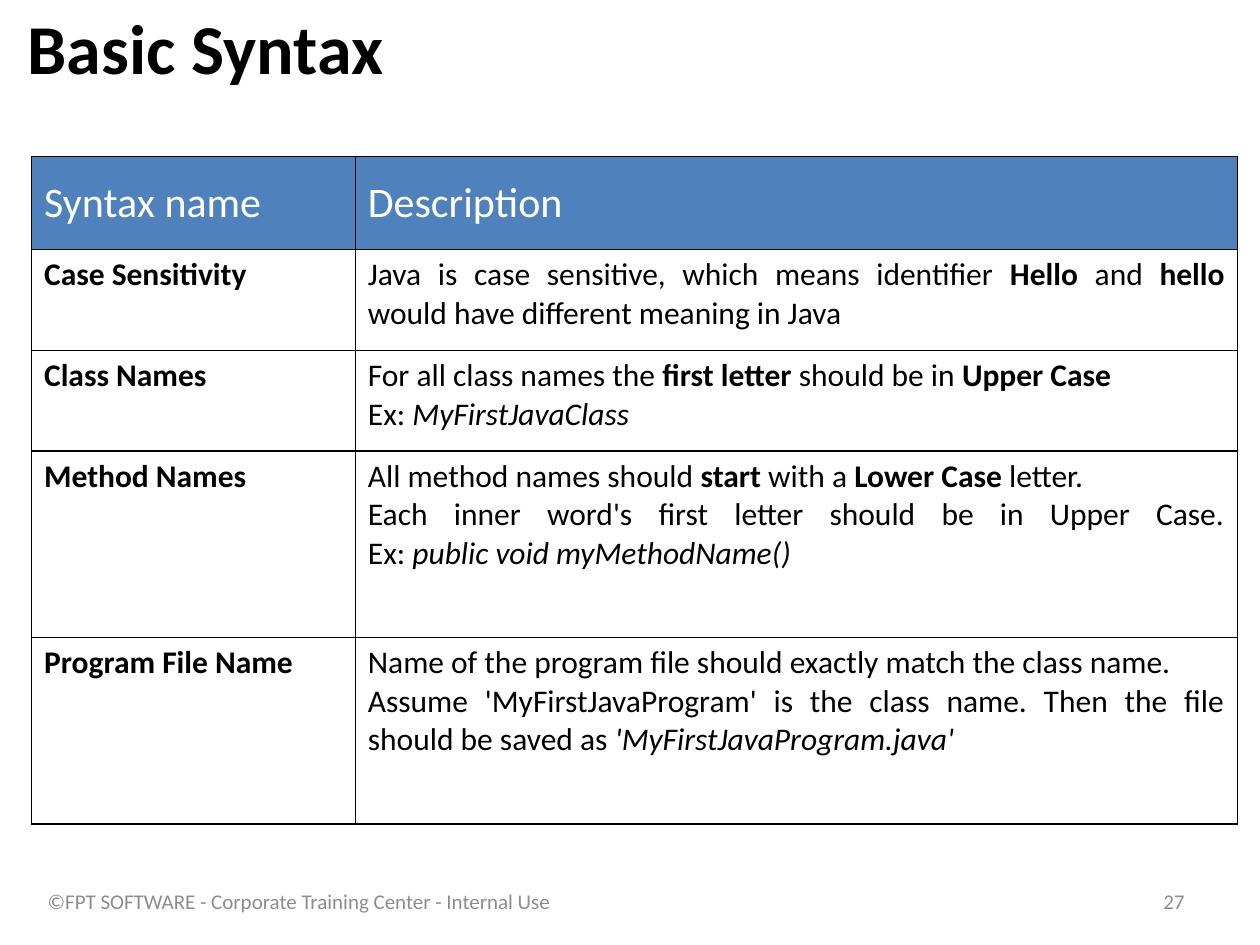
import pptx
import pptx.util
import pptx.dml.color
import pptx.enum.text
from pptx.oxml import parse_xml
from pptx.oxml.ns import nsdecls

Inches = pptx.util.Inches
Pt = pptx.util.Pt
ALIGN = pptx.enum.text.PP_ALIGN
MIDDLE = pptx.enum.text.MSO_ANCHOR.MIDDLE
TOP = pptx.enum.text.MSO_ANCHOR.TOP

# Each row: syntax name, then description paragraphs.
# A run is plain text, or a (text, "b" or "i") pair.
SYNTAX_ROWS = [
    ("Case Sensitivity", [
        ["Java is case sensitive, which means identifier ", ("Hello", "b"), " and ",
         ("hello", "b"), " would have different meaning in Java"]]),
    ("Class Names", [
        ["For all class names the ", ("first letter ", "b"), "should be in ",
         ("Upper Case", "b")],
        ["Ex: ", ("MyFirstJavaClass", "i")]]),
    ("Method Names", [
        ["All method names should ", ("start ", "b"), "with a ", ("Lower Case", "b"),
         " letter. "],
        ["Each inner word's first letter should be in Upper Case.\nEx: ",
         ("public void myMethodName()", "i")]]),
    ("Program File Name", [
        ["Name of the program file should exactly match the class name. "],
        ["Assume 'MyFirstJavaProgram' is the class name. "
         "Then the file should be saved as ",
         ("'MyFirstJavaProgram.java'", "i")]]),
]


def rgb(value):
    return pptx.dml.color.RGBColor.from_string(value)


class SlideBuilder:
    font = "Calibri"
    black, white, blue, gray = "000000", "FFFFFF", "4F81BD", "8C8C8C"

    def __init__(self, prs):
        self.s = prs.slides.add_slide(prs.slide_layouts[5])
        self.s.background.fill.solid()
        self.s.background.fill.fore_color.rgb = rgb(self.white)

    def add_text(self, tf, paragraphs, size, color, align=ALIGN.LEFT, bold=False):
        for i, runs in enumerate(paragraphs):
            p = tf.add_paragraph() if i else tf.paragraphs[0]
            p.alignment = align
            p.font.name, p.font.size, p.font.bold = self.font, Pt(size), bold
            p.font.color.rgb = rgb(color)
            for run in runs:
                text, style = (run, "") if isinstance(run, str) else run
                for j, line in enumerate(text.split("\n")):
                    if j:
                        p.add_line_break()
                    r = p.add_run()
                    r.text = line
                    if style == "b":
                        r.font.bold = True
                    elif style == "i":
                        r.font.italic = True

    def place(self, sp, left, top, width, height):
        sp.left, sp.top = Inches(left), Inches(top)
        sp.width, sp.height = Inches(width), Inches(height)
        sp.text_frame.word_wrap = True
        sp.text_frame.vertical_anchor = MIDDLE

    def title(self, text, *box):
        sp = self.s.shapes.title
        self.place(sp, *box)
        self.add_text(sp.text_frame, [[text]], 40, self.black, bold=True)

    def footer(self, text, align, *box):
        sp = self.s.shapes.add_textbox(0, 0, 0, 0)
        self.place(sp, *box)
        self.add_text(sp.text_frame, [[text]], 12, self.gray, align)

    def table(self, left, top, widths, heights):
        frame = self.s.shapes.add_table(
            len(heights), len(widths), Inches(left), Inches(top),
            Inches(sum(widths)), Inches(sum(heights)))
        table = frame.table
        table.first_row = table.horz_banding = False
        for column, width in zip(table.columns, widths):
            column.width = Inches(width)
        for row, height in zip(table.rows, heights):
            row.height = Inches(height)
        return table

    def cell(self, cell, paragraphs, size=18, color=black, fill=None,
             anchor=TOP, **text_style):
        tc_pr = cell._tc.get_or_add_tcPr()
        for side in "LRTB":
            tc_pr.append(parse_xml(
                f'<a:ln{side} {nsdecls("a")} w="{Pt(1)}"><a:solidFill>'
                f'<a:srgbClr val="{self.black}"/></a:solidFill></a:ln{side}>'))
        if fill:
            cell.fill.solid()
            cell.fill.fore_color.rgb = rgb(fill)
        else:
            cell.fill.background()
        cell.vertical_anchor = anchor
        self.add_text(cell.text_frame, paragraphs, size, color, **text_style)


def main():
    prs = pptx.Presentation()
    prs.slide_width, prs.slide_height = Inches(10), Inches(7.5)
    b = SlideBuilder(prs)

    # Title
    b.title("Basic Syntax", 0.12, -0.26, 9, 1.25)

    # Syntax table
    table = b.table(0.25, 1.24, [2.57, 7], [0.74, 0.8, 0.8, 1.48, 1.48])
    for col, heading in enumerate(["Syntax name", "Description"]):
        b.cell(table.cell(0, col), [[heading]], 24, b.white, b.blue, MIDDLE)
    for row, (name, description) in enumerate(SYNTAX_ROWS, 1):
        b.cell(table.cell(row, 0), [[name]], bold=True)
        b.cell(table.cell(row, 1), description, align=ALIGN.JUSTIFY)

    # Footer and slide number
    b.footer("©FPT SOFTWARE - Corporate Training Center - Internal Use",
             ALIGN.CENTER, 0.21, 6.95, 4.33, 0.4)
    b.footer("27", ALIGN.RIGHT, 7.17, 6.95, 2.33, 0.4)

    prs.save("out.pptx")


if __name__ == "__main__":
    main()
